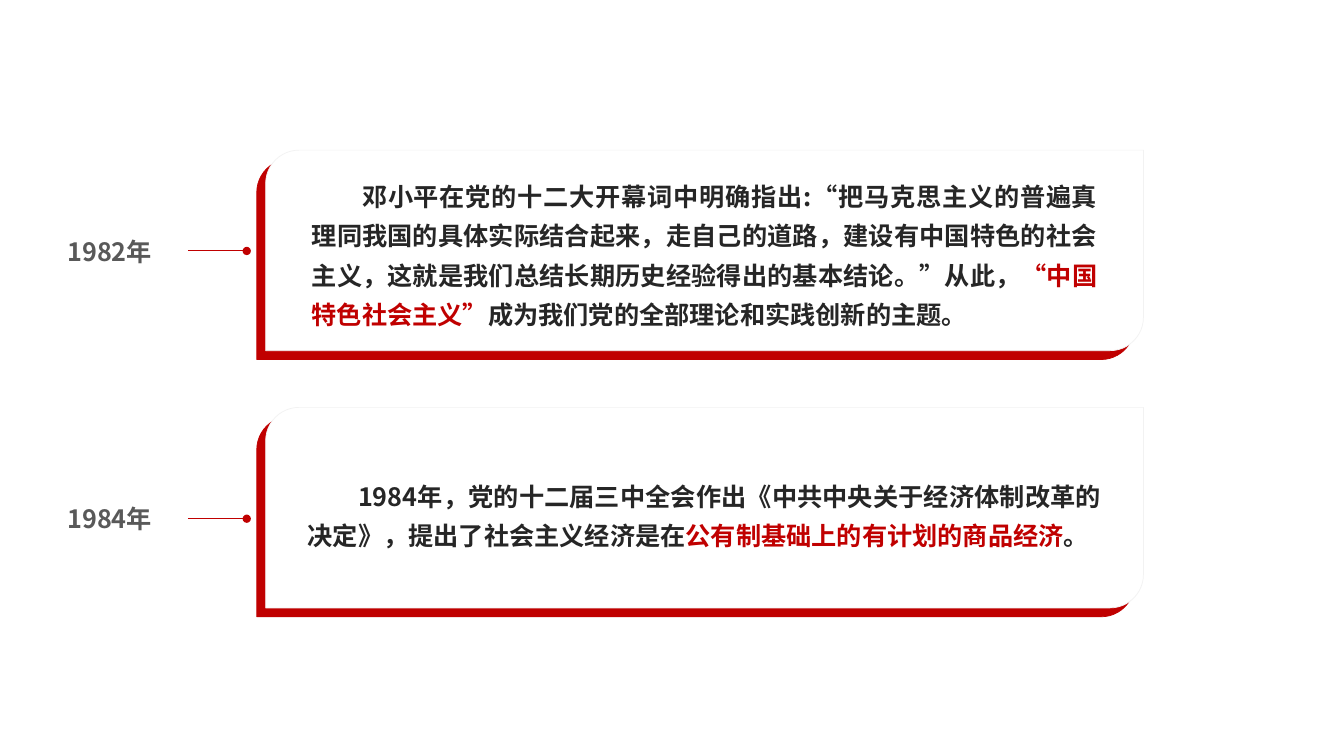
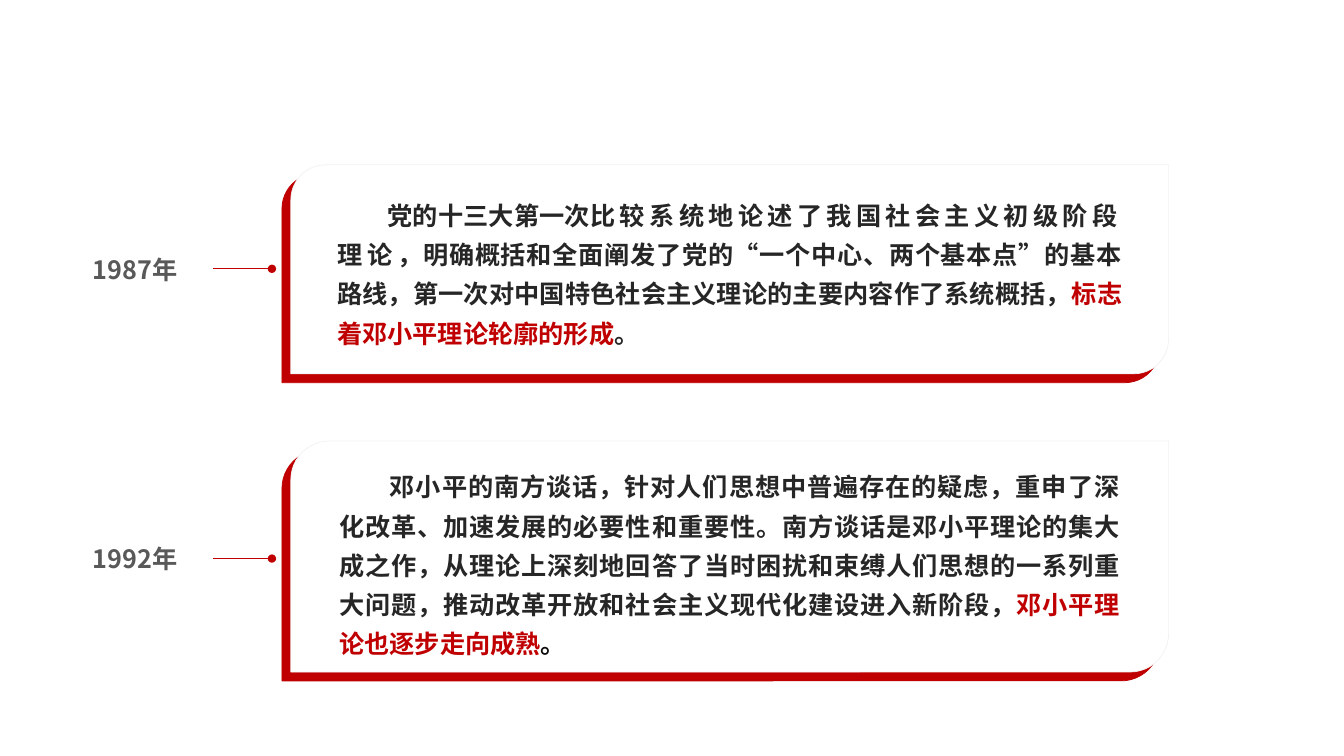
from dataclasses import dataclass

from lxml import etree
from pptx import Presentation
from pptx.dml.color import RGBColor
from pptx.enum.shapes import MSO_CONNECTOR, MSO_SHAPE
from pptx.enum.text import MSO_ANCHOR, MSO_AUTO_SIZE, PP_ALIGN
from pptx.oxml.ns import qn
from pptx.util import Pt

STRAIGHT = MSO_CONNECTOR.STRAIGHT
DIAGONAL_ROUND = MSO_SHAPE.ROUND_2_DIAG_RECTANGLE
TOP, MIDDLE = MSO_ANCHOR.TOP, MSO_ANCHOR.MIDDLE
CENTER, JUSTIFY = PP_ALIGN.CENTER, PP_ALIGN.JUSTIFY
FIT_SHAPE = MSO_AUTO_SIZE.SHAPE_TO_FIT_TEXT
EMU_PER_PX = 9525


@dataclass(frozen=True)
class Theme:
    red: str = "C00000"
    ink: str = "262626"
    black: str = "0D0D0D"
    gray: str = "595959"
    white: str = "FFFFFF"
    edge: str = "F2F2F2"
    font: str = "Noto Sans CJK SC"
    size: int = 18
    label_leading: float = 21.6
    body_leading: int = 28


THEME = Theme()


def px(n):
    return n * EMU_PER_PX


def rgb(color):
    return RGBColor.from_string(color)


def sub(parent, tag, **attrs):
    return etree.SubElement(parent, qn(tag), attrs)


def write(sp, runs, *, align, leading, anchor, indent=0):
    tf = sp.text_frame
    tf.word_wrap = True
    tf.auto_size = FIT_SHAPE
    tf.vertical_anchor = anchor
    p = tf.paragraphs[0]
    p.alignment = align
    p.line_spacing = Pt(leading)
    if indent:
        pPr = p._p.get_or_add_pPr()
        pPr.set("marL", "0")
        pPr.set("indent", str(px(indent)))
    for text, color, *spacing in runs:
        r = p.add_run()
        r.text = text
        r.font.size = Pt(THEME.size)
        r.font.bold = True
        r.font.color.rgb = rgb(color)
        r.font.name = THEME.font
        rPr = r._r.get_or_add_rPr()
        sub(rPr, "a:ea", typeface=THEME.font)
        if spacing:
            rPr.set("spc", str(spacing[0] * 100))


class Deck:
    def __init__(self, theme):
        self.theme = theme
        self.prs = Presentation()
        self.prs.slide_width = px(1280)
        self.prs.slide_height = px(720)
        self.s = None

    def add_slide(self):
        self.s = self.prs.slides.add_slide(self.prs.slide_layouts[6])

    def pointer(self, x, y, length):
        cxn = self.s.shapes.add_connector(
            STRAIGHT, px(x), px(y), px(x + length), px(y))
        cxn.line.color.rgb = rgb(self.theme.red)
        cxn.line.width = Pt(0.75)
        spPr = cxn._element.spPr
        sub(spPr.find(qn("a:ln")), "a:tailEnd", type="oval")
        sub(spPr, "a:effectLst")

    def label(self, text, x, y, w, h):
        sp = self.s.shapes.add_textbox(px(x), px(y), px(w), px(h))
        write(sp, [(text, self.theme.gray)], align=CENTER, anchor=TOP,
              leading=self.theme.label_leading)

    def card(self, group, x, y, w, h):
        sp = group.shapes.add_shape(DIAGONAL_ROUND, px(x), px(y), px(w), px(h))
        sp.fill.solid()
        sp.fill.fore_color.rgb = rgb(self.theme.white)
        sp.line.color.rgb = rgb(self.theme.edge)
        sp.line.width = Pt(0.5)
        effects = sub(sp._element.spPr, "a:effectLst")
        shadow = sub(effects, "a:outerShdw", blurRad="0", dist=str(int(Pt(9))),
                     dir="8100000", algn="tr", rotWithShape="0")
        sub(shadow, "a:srgbClr", val=self.theme.red)

    def body(self, group, runs, x, y, w, h):
        sp = group.shapes.add_shape(DIAGONAL_ROUND, px(x), px(y), px(w), px(h))
        sp.shadow.inherit = False
        sp.fill.background()
        sp.line.fill.background()
        write(sp, runs, align=JUSTIFY, anchor=MIDDLE, indent=48,
              leading=self.theme.body_leading)

    def event(self, year, runs, *, x, y, card, text):
        self.pointer(x + 126, y, 56)
        self.label(year, x, y - 19, 103, 38)
        group = self.s.shapes.add_group_shape()
        self.card(group, x + 200, card[0], 836, card[1])
        self.body(group, runs, x + 226, text[0], 784, text[1])


INK, RED, BLACK = THEME.ink, THEME.red, THEME.black

SLIDES = [
    (53, [
        dict(year="1982年", y=239, card=(143, 191), text=(153, 172), runs=[
            ("邓小平在党的十二大开幕词中明确指出:“把马克思主义的普遍真理同我国的具体实际"
             "结合起来，走自己的道路，建设有中国特色的社会主义，这就是我们总结长期历史经验"
             "得出的基本结论。”从此，", INK),
            ("“中国特色社会主义”", RED),
            ("成为我们党的全部理论和实践创新的主题。", INK)]),
        dict(year="1984年", y=494, card=(388, 191), text=(440, 94), runs=[
            ("1984年，党的十二届三中全会作出《中共中央关于经济体制改革的决定》，"
             "提出了社会主义经济是在", INK),
            ("公有制基础上的有计划的商品经济", RED),
            ("。", INK)]),
    ]),
    (77, [
        dict(year="1987年", y=256, card=(157, 199), text=(168, 178), runs=[
            ("党的十三大第一次", INK),
            ("比较系统地论述了我国社会主义初级阶段理论", INK, 3),
            ("，明确概括和全面阐发了党的“一个中心、两个基本点”的基本路线，"
             "第一次对中国特色社会主义理论的主要内容作了系统概括，", INK),
            ("标志着邓小平理论轮廓的形成", RED),
            ("。", INK)]),
        dict(year="1992年", y=532, card=(420, 220), text=(424, 220), runs=[
            ("邓小平的南方谈话，针对人们思想中普遍存在的疑虑，重申了深化改革、加速发展的"
             "必要性和重要性。南方谈话是邓小平理论的集大成之作，从理论上深刻地回答了当时"
             "困扰和束缚人们思想的一系列重大问题，推动改革开放和社会主义现代化建设进入"
             "新阶段，", INK),
            ("邓小平理论也逐步走向成熟", RED),
            ("。", BLACK)]),
    ]),
]


def main():
    deck = Deck(THEME)
    for x, events in SLIDES:
        deck.add_slide()
        for event in events:
            deck.event(x=x, **event)
    deck.prs.save("out.pptx")


if __name__ == "__main__":
    main()
